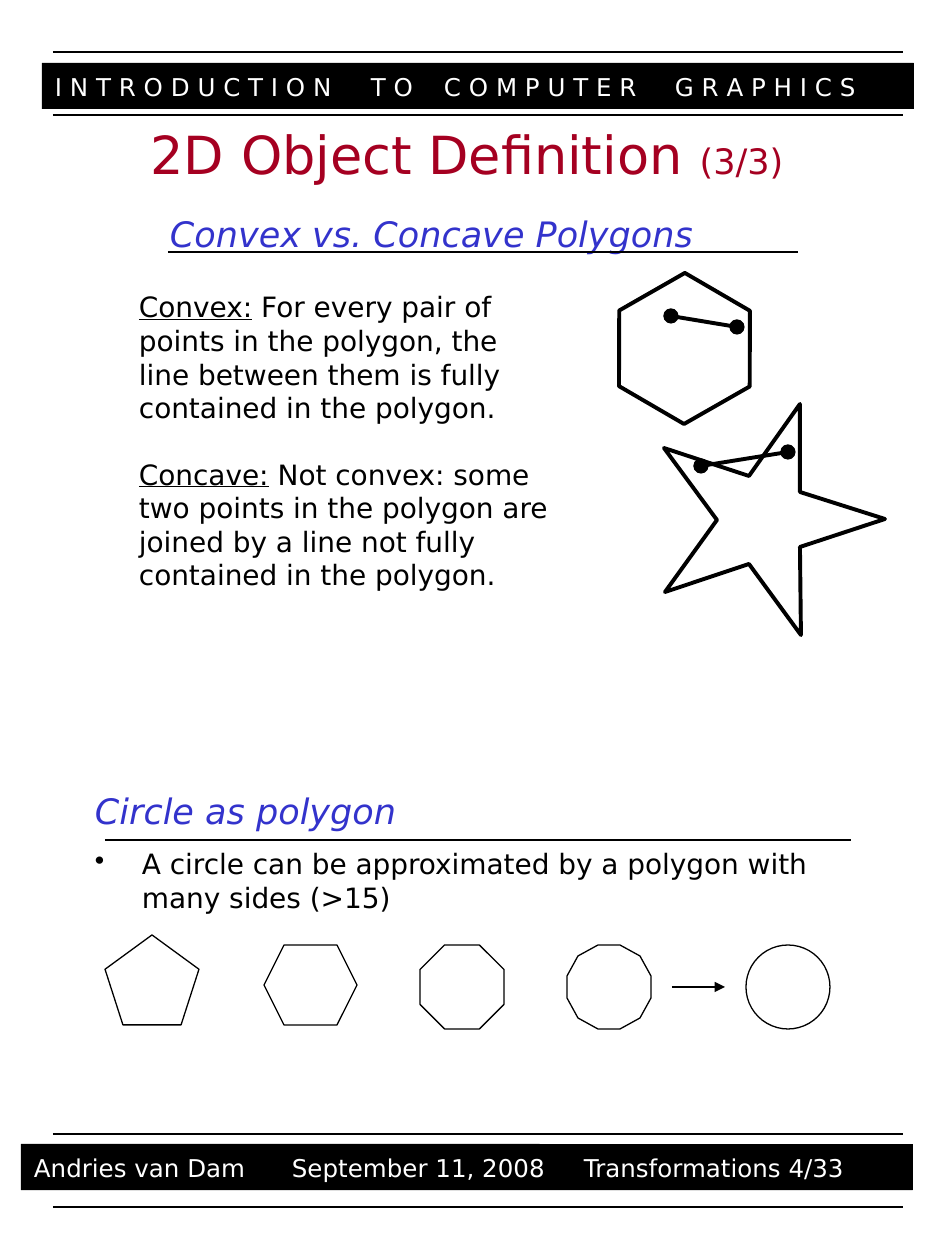
import math

from lxml import etree
from pptx import Presentation
from pptx import util as u
from pptx.dml.color import RGBColor
from pptx.enum import shapes, text
from pptx.oxml import ns

SCALE = 914400 / 126
FONT = "DejaVu Sans"
COLORS = {
    "black": "000000",
    "white": "FFFFFF",
    "title": "A50021",
    "heading": "3333CC",
}
KIND = shapes.MSO_SHAPE
THIN, THICK = 0.75, 2.25


def px(value):
    return u.Emu(round(value * SCALE))


def rgb(name):
    return RGBColor.from_string(COLORS[name])


def add_element(parent, tag, **attributes):
    child = etree.SubElement(parent, ns.qn(tag))
    for key, value in attributes.items():
        child.set(key, str(value))
    return child


def style(shape, fill=None, width=THIN):
    shape.shadow.inherit = False
    if fill:
        shape.fill.solid()
        shape.fill.fore_color.rgb = rgb(fill)
    else:
        shape.fill.background()
    shape.line.color.rgb = rgb("black")
    shape.line.width = u.Pt(width)
    return shape


def add_figure(page, kind, x, y, w, h, fill=None, width=THIN):
    shape = page.shapes.add_shape(kind, px(x), px(y), px(w), px(h))
    return style(shape, fill, width)


def add_polygon(page, points, fill=None, width=THIN):
    builder = page.shapes.build_freeform(*points[0], scale=SCALE)
    builder.add_line_segments(points[1:], close=True)
    return style(builder.convert_to_shape(), fill, width)


def add_line(page, x1, y1, x2, y2, width=THIN, arrow=False):
    line = page.shapes.add_connector(
        shapes.MSO_CONNECTOR.STRAIGHT, px(x1), px(y1), px(x2), px(y2))
    line.line.color.rgb = rgb("black")
    line.line.width = u.Pt(width)
    if arrow:
        add_element(line.line._get_or_add_ln(), "a:tailEnd", type="triangle")
    add_element(line._element.spPr, "a:effectLst")


def add_box(page, x, y, w, h, inset=(13, 6)):
    box = page.shapes.add_textbox(px(x), px(y), px(w), px(h))
    frame = box.text_frame
    frame.word_wrap = True
    frame.margin_left = frame.margin_right = px(inset[0])
    frame.margin_top = frame.margin_bottom = px(inset[1])
    return frame


def add_span(para, words, size, color="black", italic=False, underline=False):
    span = para.add_run()
    span.text = words
    span.font.name = FONT
    span.font.size = u.Pt(size)
    span.font.color.rgb = rgb(color)
    span.font.italic = italic
    span.font.underline = underline


def add_bar(page, x, y, w, words, stops):
    bar = add_figure(page, KIND.ROUNDED_RECTANGLE, x, y, w, 46, "black")
    bar.adjustments[0] = 0.005
    bar.line.fill.background()
    para = add_box(page, x, y + 3, w, 42).paragraphs[0]
    tabs = add_element(para._p.get_or_add_pPr(), "a:tabLst")
    for stop in stops:
        add_element(tabs, "a:tab", pos=px(stop), algn="l")
    add_span(para, "\t".join(words), 14, "white")


def add_definition(page, y, w, term, meaning):
    para = add_box(page, 126, y, w, 147).paragraphs[0]
    add_span(para, term, 16, underline=True)
    add_span(para, meaning, 16)


def add_segment(page, start, end):
    add_line(page, *start, *end, width=THICK)
    for x, y in (start, end):
        add_figure(page, KIND.OVAL, x - 7, y - 7, 14, 14, "black")


def add_frame(page):
    add_bar(page, 42, 63, 872,
            ["I N T R O D U C T I O N", "T O", "C O M P U T E R",
             "G R A P H I C S"], [316, 389, 620])
    add_bar(page, 21, 1144, 892,
            ["Andries van Dam", "September 11, 2008", "Transformations 4/33"],
            [258, 550])
    for y in (52, 115, 1134, 1207):
        add_line(page, 53, y, 903, y)


def add_title(page):
    frame = add_box(page, 42, 116, 850, 76)
    frame.vertical_anchor = text.MSO_ANCHOR.MIDDLE
    para = frame.paragraphs[0]
    para.alignment = text.PP_ALIGN.CENTER
    add_span(para, "2D Object Definition ", 30, "title")
    add_span(para, "(3/3)", 20, "title")


def add_convexity(page):
    para = add_box(page, 157, 211, 693, 50).paragraphs[0]
    para.line_spacing = 0.9
    add_span(para, "Convex vs. Concave Polygons", 20, "heading", italic=True)
    add_line(page, 168, 252, 798, 252)
    add_definition(page, 284, 431, "Convex:",
                   " For every pair of points in the polygon, the line "
                   "between them is fully contained in the polygon.")
    add_definition(page, 451, 451, "Concave:",
                   " Not convex: some two points in the polygon are joined "
                   "by a line not fully contained in the polygon.")

    hexagon = add_figure(page, KIND.HEXAGON, 609, 283, 151, 131, width=THICK)
    hexagon.adjustments[0] = 0.289
    hexagon.rotation = 30.2
    add_segment(page, (671, 316), (737, 327))

    star = [(664, 448), (749, 476), (800, 404), (800, 492), (885, 519),
            (800, 547), (801, 635), (749, 564), (665, 592), (717, 520)]
    add_polygon(page, star, width=THICK)
    add_segment(page, (701, 466), (788, 452))


def add_circle_section(page):
    frame = add_box(page, 95, 789, 756, 283, inset=(0, 0))
    add_span(frame.paragraphs[0], "Circle as polygon", 20, "heading",
             italic=True)
    para = frame.add_paragraph()
    para.space_before = u.Pt(9)
    properties = para._p.get_or_add_pPr()
    properties.set("marL", str(px(47)))
    properties.set("indent", str(px(-47)))
    add_element(properties, "a:buChar", char="•")
    add_span(para, "A circle can be approximated by a polygon with many "
             "sides (>15)", 16)
    add_line(page, 105, 840, 851, 840)

    add_figure(page, KIND.REGULAR_PENTAGON, 105, 935, 94, 90)
    add_figure(page, KIND.HEXAGON, 264, 945, 93, 80, "white")
    add_figure(page, KIND.OCTAGON, 420, 945, 84, 84)
    radius = 42 / math.cos(math.pi / 12)
    angles = [math.radians(15 + 30 * step) for step in range(12)]
    dodecagon = [(609 + radius * math.cos(angle),
                  987 + radius * math.sin(angle)) for angle in angles]
    add_polygon(page, dodecagon, "white")
    add_line(page, 672, 987, 725, 987, arrow=True)
    add_figure(page, KIND.OVAL, 746, 945, 84, 84)


def main():
    deck = Presentation()
    deck.slide_width, deck.slide_height = px(945), px(1260)
    page = deck.slides.add_slide(deck.slide_layouts[6])
    add_frame(page)
    add_title(page)
    add_convexity(page)
    add_circle_section(page)
    deck.save("out.pptx")


if __name__ == "__main__":
    main()
